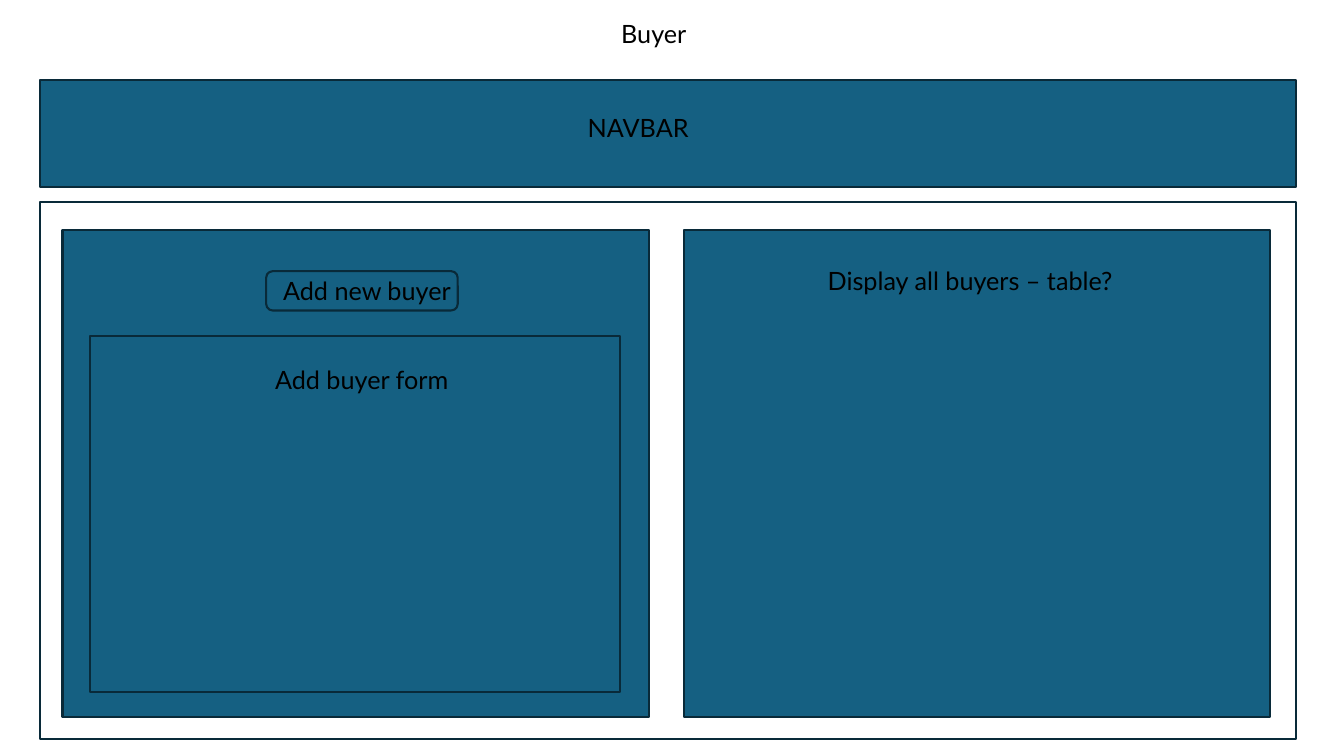
import pptx
import pptx.util
import pptx.dml.color
import pptx.enum.shapes
import pptx.enum.text

Inches = pptx.util.Inches
BLUE = pptx.dml.color.RGBColor(0x15, 0x60, 0x82)
NAVY = pptx.dml.color.RGBColor(0x09, 0x2A, 0x39)
BLACK = pptx.dml.color.RGBColor(0, 0, 0)
RECT = pptx.enum.shapes.MSO_SHAPE.RECTANGLE
ROUNDED = pptx.enum.shapes.MSO_SHAPE.ROUNDED_RECTANGLE
LEFT = pptx.enum.text.PP_ALIGN.LEFT
CENTER = pptx.enum.text.PP_ALIGN.CENTER

deck = pptx.Presentation()
deck.slide_width = Inches(13.33)
deck.slide_height = Inches(7.5)
slide = deck.slides.add_slide(deck.slide_layouts[6])


def add_panel(kind, box, fill=BLUE):
    panel = slide.shapes.add_shape(kind, *map(Inches, box))
    panel.shadow.inherit = False
    if fill is None:
        panel.fill.background()
    else:
        panel.fill.solid()
        panel.fill.fore_color.rgb = fill
    panel.line.color.rgb = NAVY
    panel.line.width = pptx.util.Pt(1.5)


def add_label(wording, left, top, width, alignment=LEFT):
    label = slide.shapes.add_textbox(*map(Inches, (left, top, width, 0.4)))
    frame = label.text_frame
    frame.word_wrap = True
    frame.auto_size = pptx.enum.text.MSO_AUTO_SIZE.SHAPE_TO_FIT_TEXT
    paragraph = frame.paragraphs[0]
    paragraph.alignment = alignment
    run = paragraph.add_run()
    run.text = wording
    for name, value in {"name": "Lato", "size": pptx.util.Pt(18)}.items():
        setattr(run.font, name, value)
    run.font.color.rgb = BLACK


navbar = (0.4, 0.79, 12.45, 1.07)
buyers_table = (6.78, 2.28, 5.82, 4.83)
buyer_entry = (0.62, 2.28, 5.82, 4.83)
buyer_form = (0.89, 3.33, 5.26, 3.54)
add_button = (2.64, 2.69, 1.9, 0.39)
page_body = (0.4, 2, 12.45, 5.33)

for box in (navbar, buyers_table):
    add_panel(RECT, box)
add_label("NAVBAR", 2.4, 1.07, 7.86, CENTER)

for box in (buyer_entry, buyer_form):
    add_panel(RECT, box)
add_panel(ROUNDED, add_button)
add_panel(RECT, page_body, fill=None)

add_label("Add new buyer", 2.71, 2.68, 1.9)
add_label("Buyer", 4.97, 0.13, 3.03, CENTER)
add_label("Display all buyers – table?", 8.11, 2.58, 3.15)
add_label("Add buyer form", 2.63, 3.57, 2.06)

deck.save("out.pptx")
